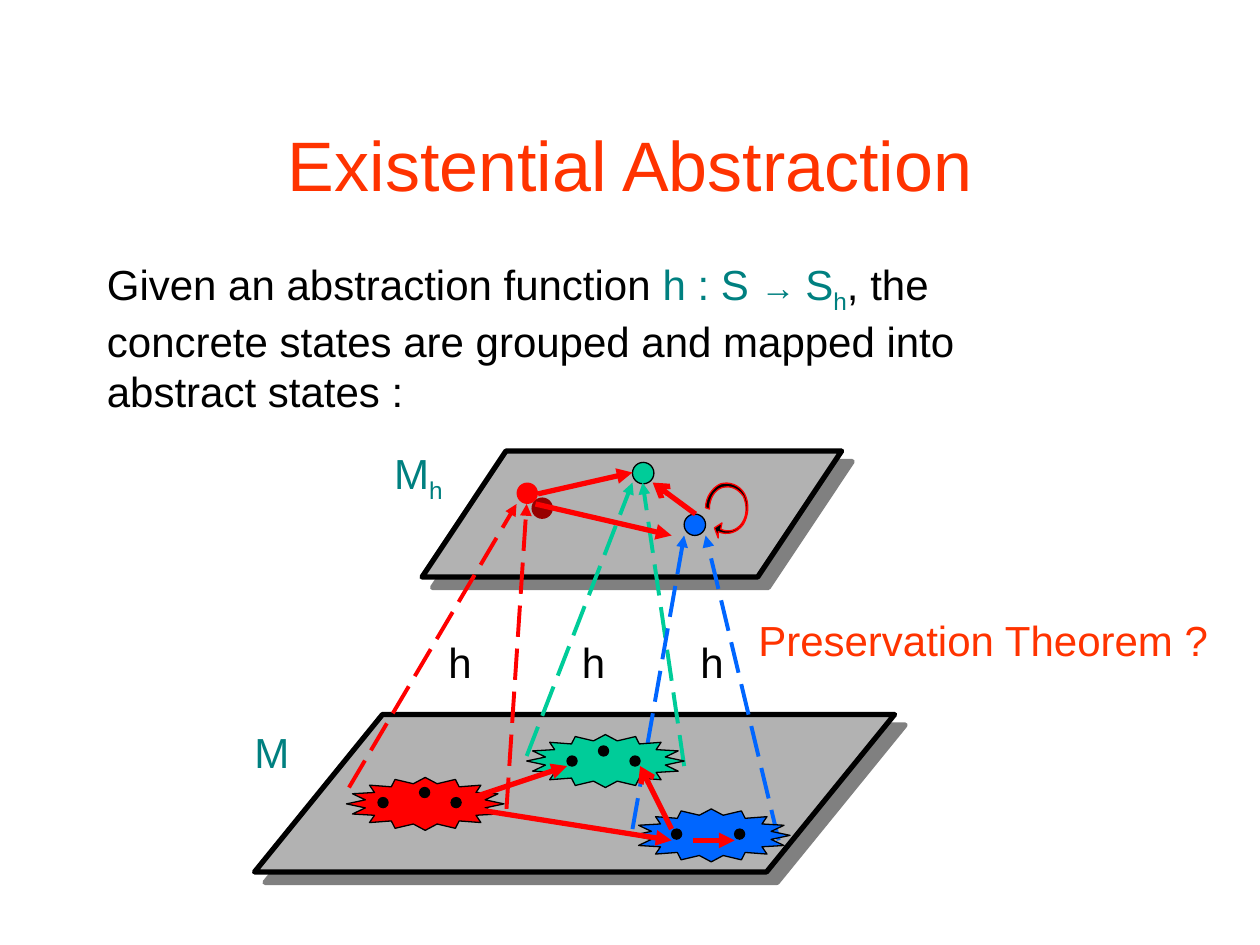
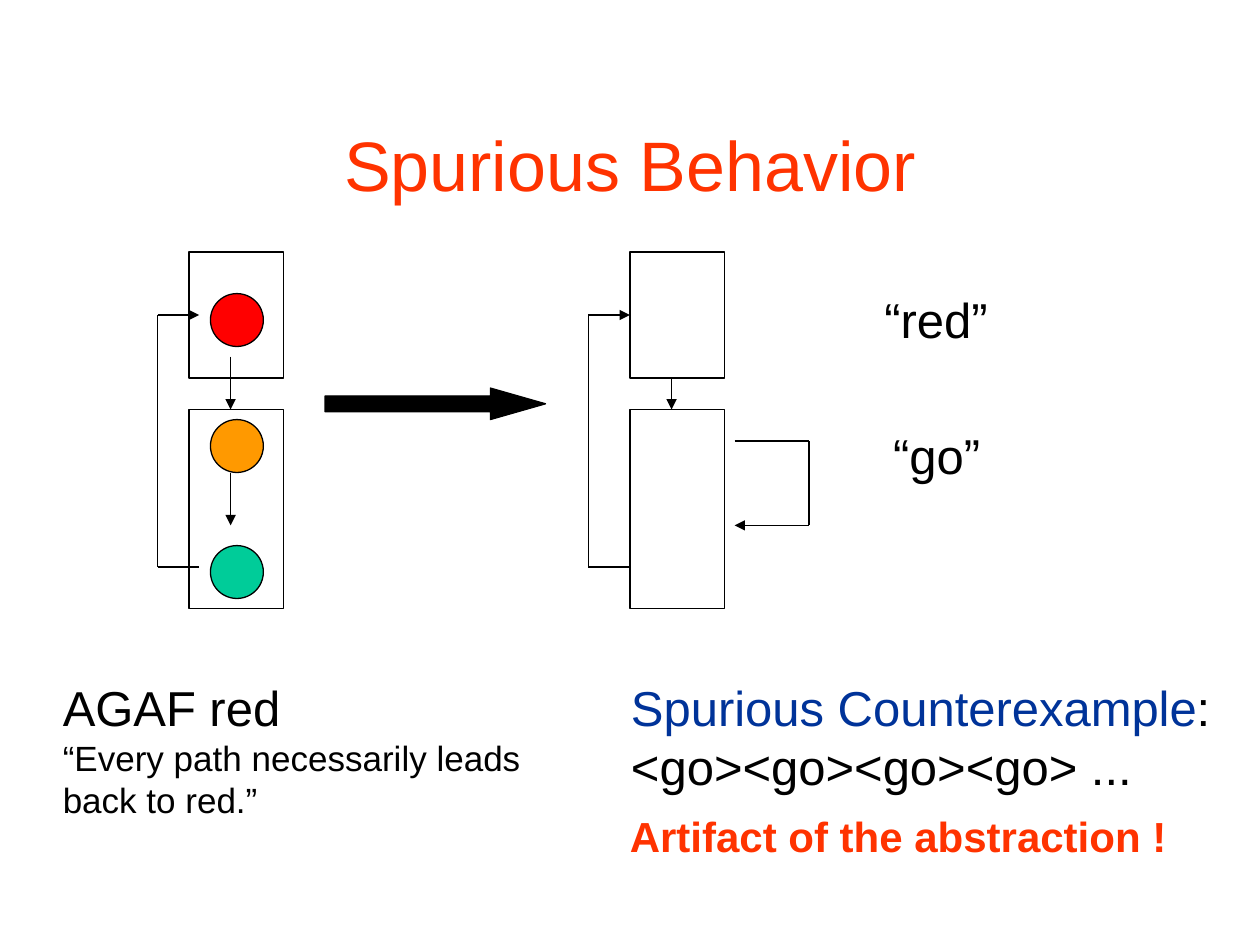
from dataclasses import dataclass
from itertools import pairwise
from math import cos, pi, sin
from typing import NamedTuple

from lxml import etree
from pptx import Presentation
from pptx.dml.color import RGBColor
from pptx.enum.dml import MSO_LINE
from pptx.enum.shapes import MSO_CONNECTOR, MSO_SHAPE
from pptx.enum.text import MSO_ANCHOR, MSO_AUTO_SIZE, PP_ALIGN
from pptx.oxml.ns import qn
from pptx.util import Inches, Pt

OVAL, RECT = MSO_SHAPE.OVAL, MSO_SHAPE.RECTANGLE
PLANE, ARROW = MSO_SHAPE.FLOWCHART_DATA, MSO_SHAPE.RIGHT_ARROW
STRAIGHT, DASH = MSO_CONNECTOR.STRAIGHT, MSO_LINE.LONG_DASH
CENTER, MIDDLE = PP_ALIGN.CENTER, MSO_ANCHOR.MIDDLE
FIT, FIXED = MSO_AUTO_SIZE.SHAPE_TO_FIT_TEXT, MSO_AUTO_SIZE.NONE


@dataclass(frozen=True)
class Theme:
    font: str = "Arial"
    black: str = "000000"
    white: str = "FFFFFF"
    title: str = "FF3300"
    teal: str = "008080"
    navy: str = "003399"
    red: str = "FF0000"
    green: str = "00CC99"
    blue: str = "0066FF"
    amber: str = "FF9900"
    gray: str = "B2B2B2"
    shade: str = "808080"
    dark: str = "980000"
    head: float = 40
    large: float = 28
    body: float = 24
    small: float = 20
    thin: float = 0.75
    mid: float = 2.25
    thick: float = 3


T = Theme()
Point = tuple[float, float]


class Run(NamedTuple):
    text: str
    color: str = T.black
    size: float = T.body
    bold: bool = False
    sub: bool = False


class Path(NamedTuple):
    points: list[Point]
    color: str = T.black
    width: float = T.thin
    head: str = "triangle"
    dash: bool = False


class Form(NamedTuple):
    kind: int
    box: tuple[float, float, float, float]
    fill: str
    edge: float = T.thin
    cast: tuple[str, float] | None = None


# Shared drawing tools
def rgb(code: str) -> RGBColor:
    return RGBColor.from_string(code)


def paint(shape, fill: str, edge: float, color: str = T.black) -> None:
    shape.shadow.inherit = False
    shape.fill.solid()
    shape.fill.fore_color.rgb = rgb(fill)
    if edge:
        shape.line.color.rgb = rgb(color)
        shape.line.width = Pt(edge)
    else:
        shape.line.fill.background()


def draw(slide, form: Form):
    shape = slide.shapes.add_shape(form.kind, *map(Inches, form.box))
    paint(shape, form.fill, form.edge)
    if form.cast:
        color, gap = form.cast
        glow = shape.element.spPr.find(qn("a:effectLst"))
        cast = etree.SubElement(glow, qn("a:outerShdw"), dist=str(Pt(gap)),
                                dir="2700000", algn="ctr", rotWithShape="0")
        etree.SubElement(cast, qn("a:srgbClr"), val=color)
    return shape


def trace(slide, path: Path) -> None:
    """Join the points with lines; the last line bears the arrowhead."""
    for start, end in pairwise(path.points):
        link = slide.shapes.add_connector(STRAIGHT, *map(Inches, start + end))
        link.line.color.rgb = rgb(path.color)
        link.line.width = Pt(path.width)
        if path.dash:
            link.line.dash_style = DASH
        props = link.element.spPr
        if end == path.points[-1]:
            etree.SubElement(props.find(qn("a:ln")), qn("a:tailEnd"), type=path.head)
        etree.SubElement(props, qn("a:effectLst"))


def outline(slide, points: list[Point], fill: str, edge: str = T.black) -> None:
    spots = [(Inches(x), Inches(y)) for x, y in points]
    pen = slide.shapes.build_freeform(*spots[0], scale=1.0)
    pen.add_line_segments(spots[1:], close=True)
    paint(pen.convert_to_shape(), fill, T.thin, edge)


def write(frame, *lines: list[Run], wrap: bool = False, fit=FIT, align=None) -> None:
    frame.word_wrap = wrap
    frame.auto_size = fit
    for i, runs in enumerate(lines):
        para = frame.add_paragraph() if i else frame.paragraphs[0]
        para.alignment = align
        for item in runs:
            run = para.add_run()
            run.text = item.text
            run.font.name = T.font
            run.font.size = Pt(item.size)
            run.font.bold = item.bold
            run.font.color.rgb = rgb(item.color)
            if item.sub:
                run._r.get_or_add_rPr().set("baseline", "-25000")


def label(slide, box: tuple, *lines: list[Run], wrap: bool = False) -> None:
    write(slide.shapes.add_textbox(*map(Inches, box)).text_frame, *lines, wrap=wrap)


def add_slide(deck, title: str):
    slide = deck.slides.add_slide(deck.slide_layouts[5])
    head = slide.shapes.title
    head.left, head.top, head.width, head.height = map(Inches, (0.75, 0.67, 8.5, 1.25))
    head.text_frame.vertical_anchor = MIDDLE
    write(head.text_frame, [Run(title, T.title, T.head)], wrap=True, fit=FIXED, align=CENTER)
    return slide


# Outlines worked out by rule
def burst(left: float, top: float) -> list[Point]:
    """Flat star of sixteen points."""
    wide, high = 0.625, 0.21
    points = []
    for k in range(32):
        size = 0.775 if k % 2 else 1
        turn = k * pi / 16
        points.append((left + wide - size * wide * cos(turn),
                       top + high + size * high * sin(turn)))
    return points


def curve(start: Point, *parts: tuple[Point, Point, Point]) -> list[Point]:
    """Points along a chain of cubic curves."""
    points, steps = [start], 8
    for one, two, end in parts:
        base = points[-1]
        for k in range(1, steps + 1):
            t = k / steps
            u = 1 - t
            points.append(tuple(u**3 * a + 3 * u * u * t * b + 3 * u * t * t * c + t**3 * d
                                for a, b, c, d in zip(base, one, two, end)))
    return points


# Slide 1
def map_slide(deck) -> None:
    slide = add_slide(deck, "Existential Abstraction")

    # Planes and abstract states
    node = 0.17
    for form in (
        Form(PLANE, (2.02, 5.67, 5.08, 1.25), T.gray, T.thick, (T.shade, 8.5)),
        Form(PLANE, (3.35, 3.58, 3.33, 1), T.gray, T.thick, (T.shade, 8.5)),
        Form(OVAL, (5.43, 4.08, node, node), T.blue),
        Form(OVAL, (4.1, 3.83, node, node), T.red, 0, (T.dark, 12.1)),
        Form(OVAL, (5.02, 3.67, node, node), T.green),
    ):
        draw(slide, form)

    # Dashed maps from groups to states
    for color, start, end in (
        (T.red, (2.77, 6.25), (4.1, 4)), (T.red, (4.02, 6.42), (4.18, 4)),
        (T.green, (4.18, 6), (5.02, 3.83)), (T.green, (5.43, 6.08), (5.1, 3.83)),
        (T.blue, (5.02, 6.58), (5.43, 4.25)), (T.blue, (6.18, 6.67), (5.6, 4.25)),
    ):
        trace(slide, Path([start, end], color, T.mid, dash=True))

    # Labels
    label(slide, (1.92, 5.72, 0.48, 0.5), [Run("M", T.teal)])
    label(slide, (3.03, 3.5, 0.61, 0.56), [Run("M", T.teal), Run("h", T.teal, sub=True)])
    label(slide, (0.75, 2, 8.08, 0.96), [
        Run("Given an abstraction function "), Run("h : S ", T.teal),
        Run("→ ", T.teal, T.small), Run("S", T.teal), Run("h", T.teal, sub=True),
        Run(", the concrete states are grouped and mapped into abstract states :"),
    ], wrap=True)
    for left in (3.46, 4.52, 5.46):
        label(slide, (left, 5, 0.38, 0.5), [Run("h")])

    # Groups of concrete states
    for left, top, color in ((4.18, 5.83, T.green), (5.02, 6.42, T.blue), (2.75, 6.17, T.red)):
        outline(slide, burst(left, top), color)
    for left, top in ((3.58, 6.33), (3.33, 6.25), (3, 6.33), (4.5, 6), (4.75, 5.92),
                      (5, 6), (5.33, 6.58), (5.83, 6.58)):
        draw(slide, Form(OVAL, (left, top, 0.08, 0.08), T.black))

    # Steps between states
    for start, end, head in (
        ((4.27, 3.92), (5.02, 3.75), "triangle"), ((3.75, 6.33), (4.5, 6.08), "triangle"),
        ((5.52, 4.08), (5.18, 3.83), "arrow"), ((5.33, 6.58), (5.08, 6.08), "arrow"),
        ((5.5, 6.67), (5.83, 6.67), "triangle"), ((3.75, 6.42), (5.33, 6.67), "triangle"),
        ((4.25, 4), (5.33, 4.25), "triangle"),
    ):
        trace(slide, Path([start, end], T.red, T.thick, head))

    # Self loop
    inner = curve((5.72, 4.2), ((5.78, 4.23), (5.85, 4.21), (5.89, 4.15)),
                  ((5.93, 4.09), (5.93, 4.01), (5.9, 3.94)),
                  ((5.86, 3.88), (5.8, 3.85), (5.73, 3.87)),
                  ((5.67, 3.89), (5.63, 3.96), (5.63, 4.04)))
    outer = curve((5.6, 4.03), ((5.6, 3.95), (5.65, 3.87), (5.72, 3.84)),
                  ((5.79, 3.82), (5.87, 3.85), (5.91, 3.92)),
                  ((5.95, 4), (5.94, 4.09), (5.9, 4.16)),
                  ((5.85, 4.23), (5.77, 4.25), (5.7, 4.22)))
    tip = [(5.7, 4.27), (5.67, 4.19), (5.73, 4.15)]
    outline(slide, inner + outer + tip, T.black, T.red)

    label(slide, (5.92, 4.83, 3.77, 0.5), [Run("Preservation Theorem ?", T.title)])


# Slide 2
def light_slide(deck) -> None:
    slide = add_slide(deck, "Spurious Behavior")

    # Boxes and lamps
    for left in (1.5, 5):
        for top, high in ((3.25, 1.58), (2, 1)):
            draw(slide, Form(RECT, (left, top, 0.75, high), T.white))
    for i, color in enumerate((T.red, T.amber, T.green)):
        draw(slide, Form(OVAL, (1.67, 2.33 + i, 0.42, 0.42), color))

    # Moves between boxes
    for points in (
        [(1.83, 2.83), (1.83, 3.25)],
        [(1.83, 3.75), (1.83, 4.17)],
        [(1.58, 4.5), (1.25, 4.5), (1.25, 2.5), (1.58, 2.5)],
        [(5.33, 3), (5.33, 3.25)],
        [(5.83, 3.5), (6.42, 3.5), (6.42, 4.17), (5.83, 4.17)],
        [(5, 4.5), (4.67, 4.5), (4.67, 2.5), (5, 2.5)],
    ):
        trace(slide, Path(points))
    arrow = draw(slide, Form(ARROW, (2.58, 3.08, 1.75, 0.25), T.black))
    arrow.adjustments[0], arrow.adjustments[1] = 0.5, 1.75

    # Labels
    label(slide, (0.4, 5.33, 3.87, 1.24), [Run("AGAF red", size=T.large)],
          [Run("“Every path necessarily leads", size=T.small)],
          [Run("back to red.”", size=T.small)])
    label(slide, (4.91, 5.33, 4.8, 1.04),
          [Run("Spurious Counterexample", T.navy, T.large), Run(":", size=T.large)],
          [Run("<go><go><go><go> ...", size=T.large)])
    label(slide, (6.92, 2.25, 1.02, 0.57), [Run("“red”", size=T.large)])
    label(slide, (6.99, 3.33, 0.89, 0.57), [Run("“go”", size=T.large)])
    label(slide, (4.9, 6.38, 4.46, 0.5), [Run("Artifact of the abstraction !", T.title, bold=True)])


def main() -> None:
    deck = Presentation()
    deck.slide_width, deck.slide_height = Inches(10), Inches(7.5)
    map_slide(deck)
    light_slide(deck)
    deck.save("out.pptx")


if __name__ == "__main__":
    main()
